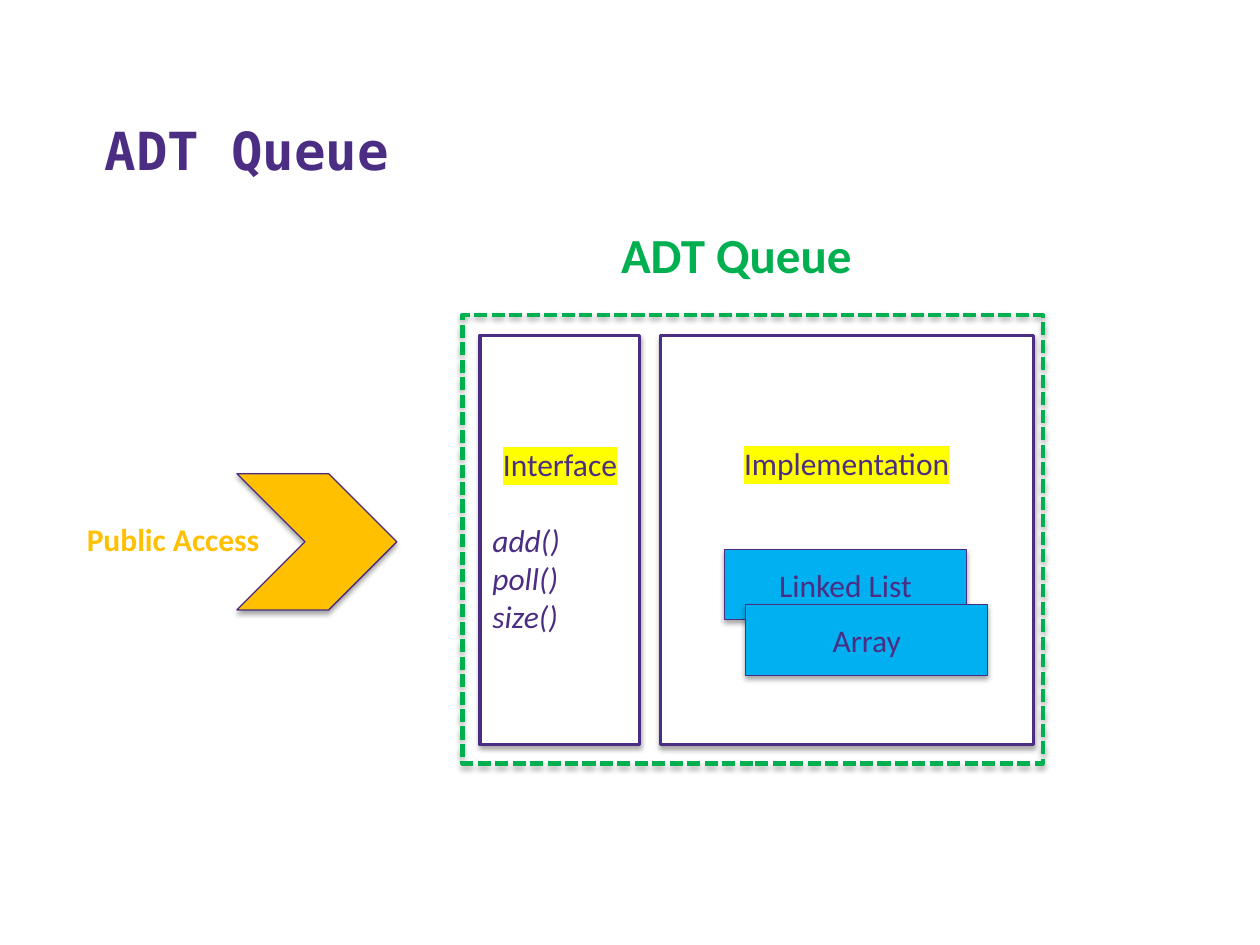
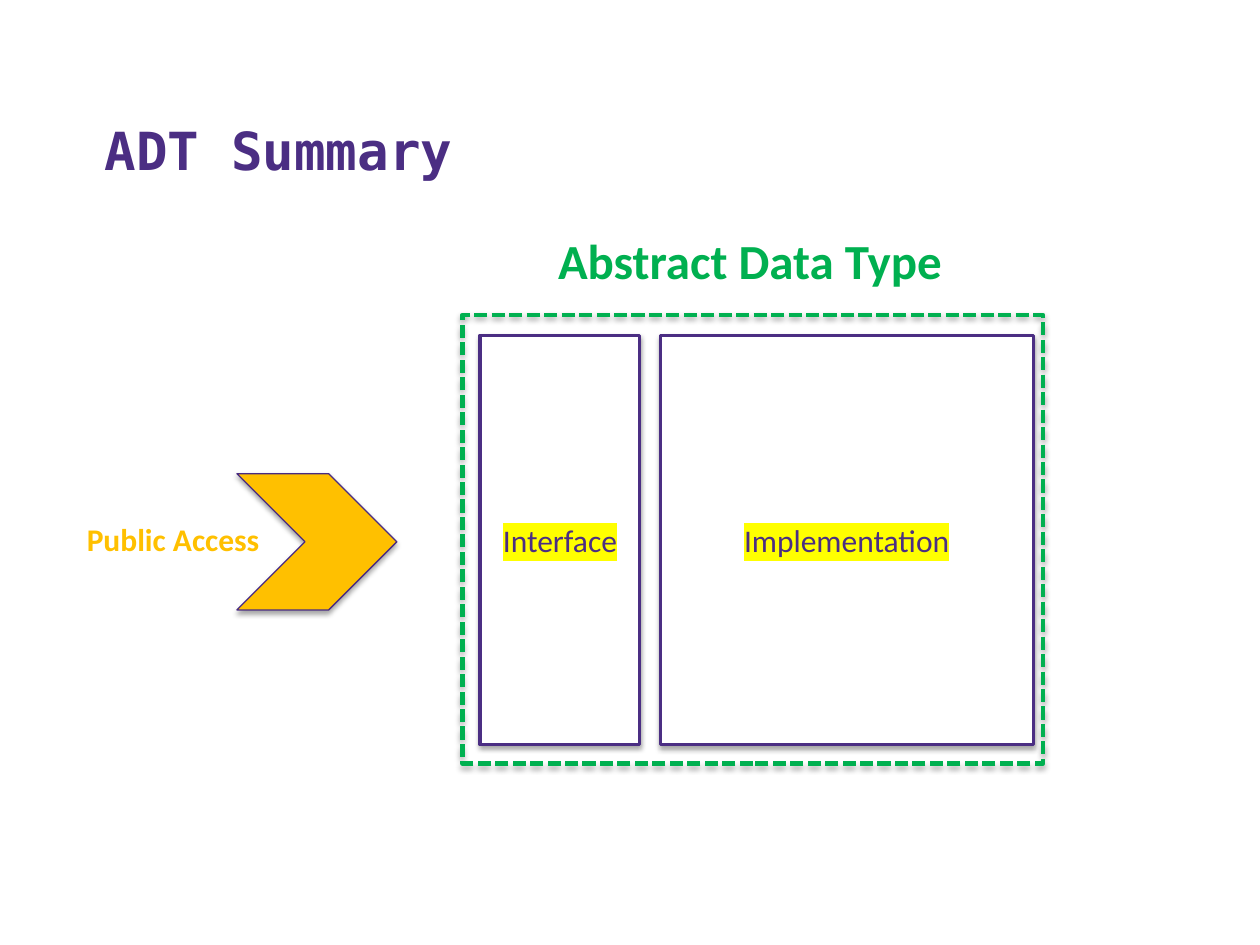
"""Build two slides on abstract data types: the queue and the summary."""
from dataclasses import dataclass, replace
from typing import Optional

from lxml.etree import SubElement as Sub
from pptx import Presentation
from pptx.dml.color import RGBColor as RGB
from pptx.enum.dml import MSO_LINE as Dash
from pptx.enum.shapes import MSO_SHAPE as Form
from pptx.enum.text import MSO_ANCHOR as Anchor, MSO_AUTO_SIZE as Fit, PP_ALIGN as Align
from pptx.oxml.ns import qn
from pptx.util import Pt

HUES = {
    "purple": "4B2E83", "edge": "492B82", "green": "00B050", "gold": "FFC000",
    "blue": "00B0F0", "white": "FFFFFF", "yellow": "FFFF00", "black": "000000",
}
SANS, MONO = "Calibri", "DejaVu Sans Mono"
LINE = 22


@dataclass(frozen=True)
class Box:
    left: float
    top: float
    width: float
    height: float
    form: Form = Form.RECTANGLE
    fill: Optional[str] = "white"
    edge: str = "purple"
    weight: float = 1.75
    dash: Optional[Dash] = None

    def area(self) -> tuple:
        return Pt(self.left), Pt(self.top), Pt(self.width), Pt(self.height)


TITLE = Box(52.6, 29.5, 644.4, 77.8)
FRAME = Box(264.2, 180, 331.9, 256.3, fill=None, edge="green", weight=2.5, dash=Dash.SQUARE_DOT)
FACE = Box(274.3, 191.5, 91.4, 234)
BODY = replace(FACE, left=377.3, width=213.1)
LIST = Box(414, 313.9, 138.2, 40.3, fill="blue", weight=0.75)
ARRAY = replace(LIST, left=426.2, top=345.6)
ARROW = Box(135.4, 270.7, 91.4, 77.8, Form.CHEVRON, "gold", "edge", 0.75)
ACCESS = Box(42.5, 293.8, 113.8, 28.8)


def tint(name: str) -> RGB:
    return RGB.from_string(HUES[name])


def write(shape, text: str, *, size: float = 18, font: str = SANS, hue: str = "purple",
          bold: bool = False, italic: bool = False, mark: Optional[str] = None,
          align: Align = Align.CENTER, before: float = 0, more: bool = False) -> None:
    frame = shape.text_frame
    para = frame.add_paragraph() if more else frame.paragraphs[0]
    para.alignment = align
    if before:
        para.space_before = Pt(before)
    run = para.add_run()
    run.text = text
    face = run.font
    face.size, face.bold, face.italic = Pt(size), bold, italic
    face.color.rgb = tint(hue)
    face.name = font
    if mark:
        glow = Sub(run._r.rPr, qn("a:highlight"))
        Sub(glow, qn("a:srgbClr"), val=HUES[mark])
        run._r.rPr.find(qn("a:solidFill")).addnext(glow)


def shade(shape) -> None:
    shape.shadow.inherit = False
    list_ = shape._element.spPr.find(qn("a:effectLst"))
    cast = Sub(list_, qn("a:outerShdw"), blurRad=str(Pt(3.1)), dist=str(Pt(1.8)),
               dir="5400000", rotWithShape="0")
    tone = Sub(cast, qn("a:srgbClr"), val=HUES["black"])
    Sub(tone, qn("a:alpha"), val="35000")


def draw(slide, box: Box):
    shape = slide.shapes.add_shape(box.form, *box.area())
    if box.fill:
        shape.fill.solid()
        shape.fill.fore_color.rgb = tint(box.fill)
    else:
        shape.fill.background()
    shape.line.color.rgb = tint(box.edge)
    shape.line.width = Pt(box.weight)
    if box.dash:
        shape.line.dash_style = box.dash
    shade(shape)
    shape.text_frame.vertical_anchor = Anchor.MIDDLE
    return shape


def label(slide, box: Box, text: str, hue: str, size: float) -> None:
    shape = slide.shapes.add_textbox(*box.area())
    shape.text_frame.word_wrap = False
    shape.text_frame.auto_size = Fit.SHAPE_TO_FIT_TEXT
    write(shape, text, hue=hue, size=size, bold=True, align=Align.LEFT)


def build(deck, title: str, head: str, place: Box, calls: tuple = (), kinds: tuple = ()) -> None:
    slide = deck.slides.add_slide(deck.slide_layouts[5])
    top = slide.shapes.title
    top.left, top.top, top.width, top.height = TITLE.area()
    top.text_frame.vertical_anchor = Anchor.BOTTOM
    top.text_frame.auto_size = Fit.NONE
    write(top, title, size=30, font=MONO, bold=True, align=Align.LEFT)

    body = draw(slide, BODY)
    write(body, "Implementation", mark="yellow")
    if kinds:
        body.text_frame.margin_bottom = Pt(3.6 + 4 * LINE)
    face = draw(slide, FACE)
    write(face, "Interface", mark="yellow")
    for rank, call in enumerate(calls):
        write(face, call, italic=True, align=Align.LEFT, before=0 if rank else LINE, more=True)

    label(slide, place, head, "green", 28)
    draw(slide, FRAME)
    for box, kind in zip((LIST, ARRAY), kinds):
        write(draw(slide, box), kind)
    draw(slide, ARROW)
    label(slide, ACCESS, "Public Access", "gold", 18)


def main() -> None:
    deck = Presentation()
    deck.slide_width, deck.slide_height = Pt(720), Pt(540)
    build(deck, "ADT Queue", "ADT Queue", Box(347.8, 124.6, 147.6, 41),
          ("add()", "poll()", "size()"), ("Linked List", "Array"))
    build(deck, "ADT Summary", "Abstract Data Type", Box(311.8, 128.2, 236.9, 41))
    deck.save("out.pptx")


if __name__ == "__main__":
    main()
